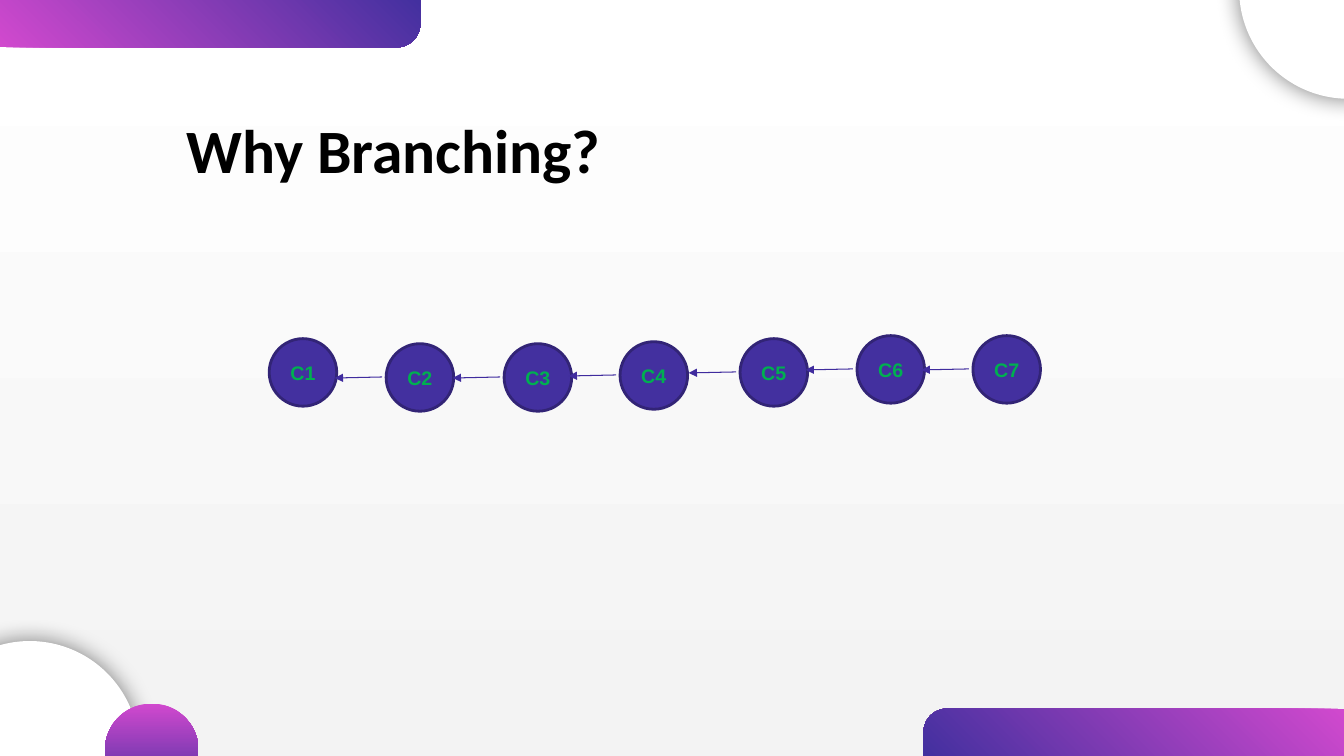
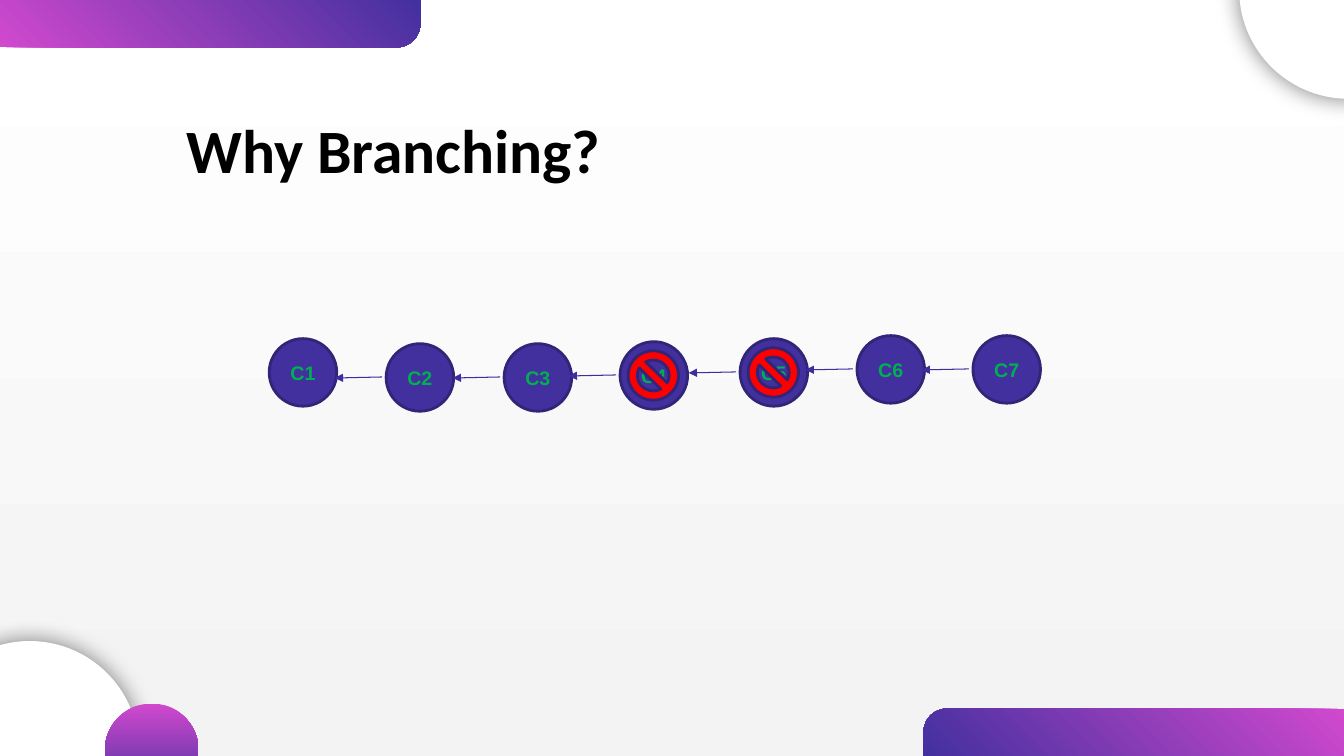
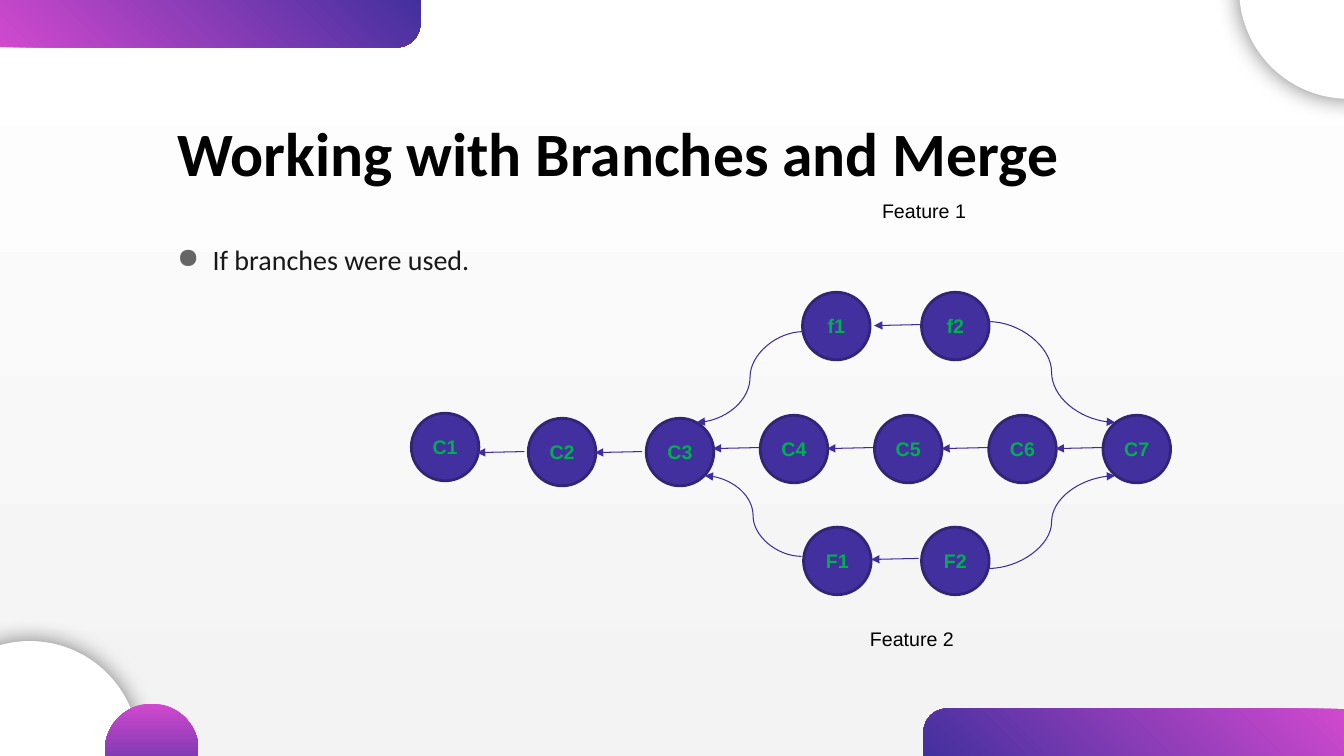
from lxml import etree
from pptx import Presentation
from pptx import util as u
from pptx.dml.color import RGBColor
from pptx.enum import shapes, text
from pptx.oxml import ns

PINK, PURPLE, OUTLINE, ARROW = "D149CE", "43309F", "322476", "402C9E"
WHITE, PALE, BLACK, INK = "FFFFFF", "F3F3F3", "000000", "181818"
GREEN, RED, GREY = "00B050", "FF0000", "666666"
COMMIT_SIZE = 0.67
ARROW_LENGTH = 0.47
PRESET = shapes.MSO_SHAPE
CONNECTOR = shapes.MSO_CONNECTOR

HISTORY = [
    ("C1", 2.67, 3.36), ("C2", 3.83, 3.41), ("C3", 5, 3.41), ("C4", 6.15, 3.39),
    ("C5", 7.34, 3.36), ("C6", 8.5, 3.33), ("C7", 9.65, 3.33),
]
MAIN_START = [("C1", 4.08, 4.1), ("C2", 5.24, 4.15), ("C3", 6.41, 4.15)]
MAIN_END = [(f"C{4 + step}", 7.54 + step * 3.4 / 3, 4.12) for step in range(4)]
FEATURE_1 = [("f1", 7.96, 2.9), ("f2", 9.14, 2.9)]
FEATURE_2 = [("F1", 7.97, 5.23), ("F2", 9.14, 5.23)]
BRANCH_CURVES = [
    ((7.97, 3.29), (6.91, 4.19)),
    ((7.95, 5.52), (6.99, 4.72)),
    ((9.8, 5.64), (11.06, 4.72)),
    ((9.8, 3.19), (11.06, 4.19)),
]


def color(value):
    return RGBColor.from_string(value)


def inches(*lengths):
    return [u.Inches(length) for length in lengths]


def add_xml(parent, tag, **attributes):
    return etree.SubElement(parent, ns.qn(tag), attributes)


def add_color_xml(parent, value):
    return add_xml(parent, "a:srgbClr", val=value)


def set_gradient(fill, start, end, angle):
    fill.gradient()
    fill.gradient_angle = 360 - angle
    for stop, value in zip(fill.gradient_stops, (start, end)):
        stop.color.rgb = color(value)


def add_preset(slide, preset, box, fill=None, outline=None):
    shape = slide.shapes.add_shape(preset, *inches(*box))
    shape.shadow.inherit = False
    if fill:
        shape.fill.solid()
        shape.fill.fore_color.rgb = color(fill)
    if outline:
        shape.line.color.rgb = color(outline)
        shape.line.width = u.Pt(2)
    else:
        shape.line.fill.background()
    return shape


def add_run(paragraph, words, size, font, value, bold=False):
    run = paragraph.add_run()
    run.text = words
    run.font.size = u.Pt(size)
    run.font.name = font
    run.font.bold = bold
    run.font.color.rgb = color(value)


def add_text_box(slide, box, inset=None):
    frame = slide.shapes.add_textbox(*inches(*box)).text_frame
    frame.word_wrap = True
    if inset is not None:
        frame.margin_top = frame.margin_bottom = u.Inches(inset)
        frame.margin_left = frame.margin_right = u.Inches(inset)
    return frame


def add_band(slide, left, top, rotation=0):
    band = add_preset(slide, PRESET.ROUND_1_RECTANGLE, (left, top, 4.17, 0.47))
    band.adjustments[0] = 0.5
    band.rotation = rotation
    band._element.spPr.xfrm.set("flipH", "1")
    set_gradient(band.fill, PINK, PURPLE, 45)


def add_corner_disc(slide, left, top):
    disc = add_preset(slide, PRESET.OVAL, (left, top, 2.17, 2.17), WHITE)
    effects = disc._element.spPr.find(ns.qn("a:effectLst"))
    shadow = add_xml(effects, "a:outerShdw", blurRad=str(int(u.Pt(16.9))), dist="0",
                     dir="0", algn="ctr", rotWithShape="0")
    add_xml(add_color_xml(shadow, BLACK), "a:alpha", val="50000")


def add_title(slide, words, left, top):
    frame = add_text_box(slide, (left, top, 10.75, 1.17), 0.1)
    frame.vertical_anchor = text.MSO_ANCHOR.MIDDLE
    add_run(frame.paragraphs[0], words, 44, "Calibri", BLACK, True)


def add_themed_slide(presentation, title, left, top):
    slide = presentation.slides.add_slide(presentation.slide_layouts[6])
    set_gradient(slide.background.fill, WHITE, PALE, 90)
    add_band(slide, 0, 0, 180)
    add_band(slide, 9.16, 7.03)
    add_corner_disc(slide, -0.79, 6.36)
    add_corner_disc(slide, 12.29, -1.19)
    dot = add_preset(slide, PRESET.OVAL, (1.04, 6.98, 0.93, 0.93))
    set_gradient(dot.fill, PINK, PURPLE, 90)
    add_title(slide, title, left, top)
    return slide


def add_bullet(slide, words, box):
    paragraph = add_text_box(slide, box, 0.1).paragraphs[0]
    paragraph.alignment = text.PP_ALIGN.JUSTIFY
    paragraph.line_spacing = 1.15
    properties = paragraph._p.get_or_add_pPr()
    indent = int(u.Inches(0.35))
    properties.set("marL", str(indent))
    properties.set("indent", str(-indent))
    add_color_xml(add_xml(properties, "a:buClr"), GREY)
    add_xml(properties, "a:buChar", char="●")
    add_run(paragraph, words, 20, "Calibri", INK)


def add_label(slide, words, left, top):
    frame = add_text_box(slide, (left, top, 1.26, 0.34))
    frame.auto_size = text.MSO_AUTO_SIZE.SHAPE_TO_FIT_TEXT
    add_run(frame.paragraphs[0], words, 14, "Arial", BLACK)


def add_arrow(slide, start, end, kind=CONNECTOR.STRAIGHT):
    arrow = slide.shapes.add_connector(kind, *inches(*start, *end))
    arrow.line.color.rgb = color(ARROW)
    arrow.line.width = u.Pt(0.75)
    add_xml(arrow.line._get_or_add_ln(), "a:tailEnd", type="triangle")
    add_xml(arrow._element.spPr, "a:effectLst")


def add_commit(slide, name, left, top):
    commit = add_preset(slide, PRESET.OVAL, (left, top, COMMIT_SIZE, COMMIT_SIZE),
                        PURPLE, OUTLINE)
    commit.text_frame.vertical_anchor = text.MSO_ANCHOR.MIDDLE
    paragraph = commit.text_frame.paragraphs[0]
    paragraph.alignment = text.PP_ALIGN.CENTER
    add_run(paragraph, name, 14, "Arial", GREEN, True)


def add_chain(slide, commits, gap, drop=0.33, first_arrow=False):
    for index, (name, left, top) in enumerate(commits):
        if index or first_arrow:
            start = left - gap
            add_arrow(slide, (start, top + drop), (start - ARROW_LENGTH, top + drop + 0.01))
        add_commit(slide, name, left, top)


def add_history_slide(presentation, blocked=()):
    slide = add_themed_slide(presentation, "Why Branching?", 1.75, 0.89)
    add_chain(slide, HISTORY, 0.04)
    for name, left, top in HISTORY:
        if name in blocked:
            add_preset(slide, PRESET.NO_SYMBOL, (left + 0.08, top + 0.09, 0.5, 0.49),
                       RED, OUTLINE)


def add_merge_slide(presentation):
    slide = add_themed_slide(presentation, "Working with Branches and Merge", 1.66, 0.92)
    add_bullet(slide, "If branches were used.", (1.66, 2.26, 10.5, 4.38))
    add_chain(slide, MAIN_START, 0.04)
    add_chain(slide, MAIN_END, 0, 0.32, True)
    add_chain(slide, FEATURE_1, 0, 0.32)
    add_chain(slide, FEATURE_2, 0.03, 0.31)
    for start, end in BRANCH_CURVES:
        add_arrow(slide, start, end, CONNECTOR.CURVE)
    add_label(slide, "Feature 1", 8.65, 1.92)
    add_label(slide, "Feature 2", 8.53, 6.17)


def main():
    presentation = Presentation()
    presentation.slide_width, presentation.slide_height = inches(13.33, 7.5)
    add_history_slide(presentation)
    add_history_slide(presentation, ("C4", "C5"))
    add_merge_slide(presentation)
    presentation.save("out.pptx")


if __name__ == "__main__":
    main()
